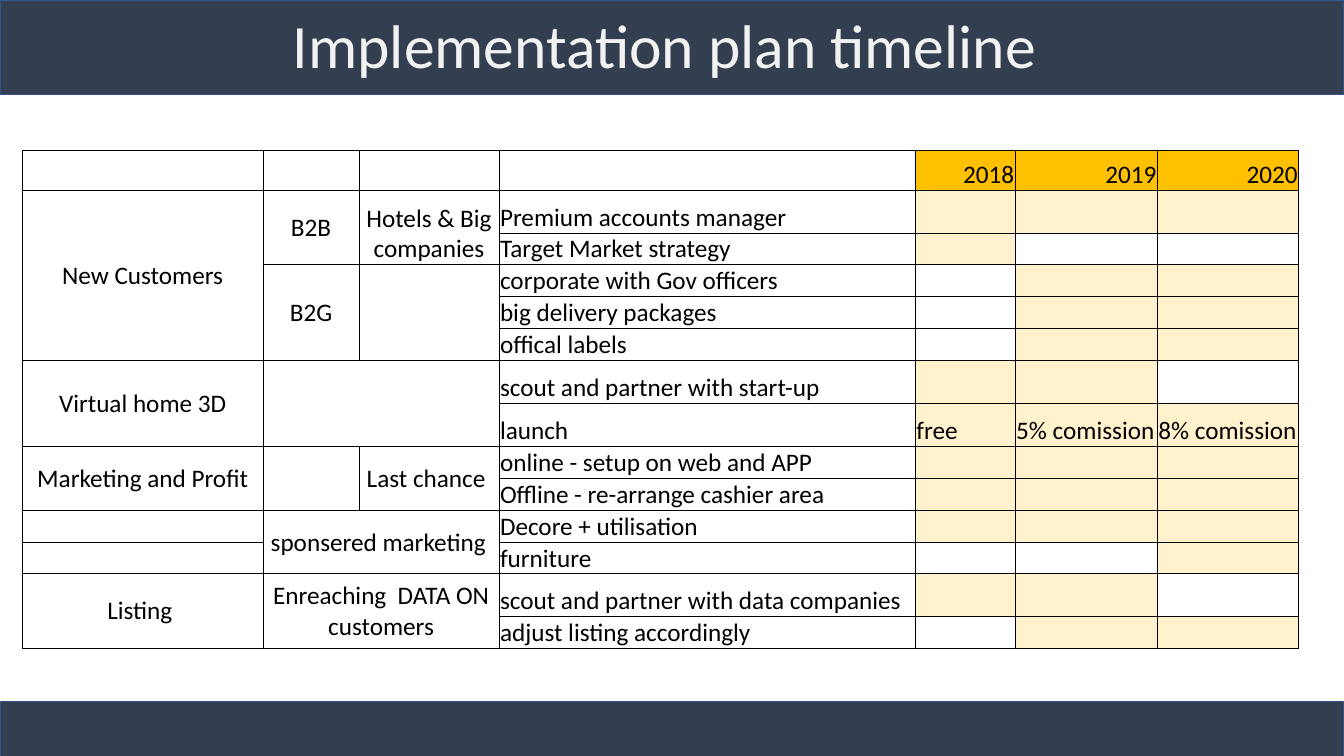
from dataclasses import dataclass

from lxml.etree import SubElement
from pptx import Presentation
from pptx.dml.color import RGBColor
from pptx.enum.shapes import MSO_SHAPE
from pptx.enum.text import MSO_ANCHOR, MSO_AUTO_SIZE, PP_ALIGN
from pptx.oxml.ns import qn
from pptx.util import Inches, Pt

NAVY = RGBColor(0x33, 0x3F, 0x50)
BLUE = RGBColor(0x32, 0x54, 0x91)
PALE_GREY = RGBColor(0xF2, 0xF2, 0xF2)
BLACK = RGBColor(0, 0, 0)
AMBER = RGBColor(0xFF, 0xC0, 0x00)
CREAM = RGBColor(0xFF, 0xF2, 0xCC)
FONT = "Calibri"
SLIDE_WIDTH = 13.33


@dataclass
class Bar:
    top: float
    height: float


@dataclass
class Activity:
    name: str
    years: str  # one mark a year: "x" planned, "-" not planned
    height: float = 0.21
    notes: tuple[str, ...] = ("", "", "")


@dataclass
class Group:
    row: int
    column: int
    rows: int
    columns: int = 1
    text: str = ""
    anchor: MSO_ANCHOR = MSO_ANCHOR.MIDDLE


BARS = [Bar(6.96, 0.63), Bar(0, 0.94)]
YEARS = ["2018", "2019", "2020"]
COLUMN_WIDTHS = [2.39, 0.95, 1.39, 4.13, 0.99, 1.41, 1.4]
HEADER_HEIGHT = 0.4
ACTIVITY_COLUMN = 3
FIRST_YEAR_COLUMN = 4

ACTIVITIES = [
    Activity("Premium accounts manager", "xxx", 0.42),
    Activity("Target Market strategy", "x--"),
    Activity("corporate with Gov officers", "-xx"),
    Activity("big delivery packages", "-xx"),
    Activity("offical labels", "-xx"),
    Activity("scout and partner with start-up", "xx-", 0.43),
    Activity("launch", "xxx", 0.43, ("free", "5% comission", "8% comission")),
    Activity("online - setup on web and APP", "xxx"),
    Activity("Offline - re-arrange cashier area", "xxx"),
    Activity("Decore + utilisation", "xxx"),
    Activity("furniture", "--x"),
    Activity("scout and partner with data companies", "xx-", 0.42),
    Activity("adjust listing accordingly", "-xx"),
]

GROUPS = [
    Group(1, 0, 5, text="New Customers"),
    Group(1, 1, 2, text="B2B"),
    Group(1, 2, 2, text="Hotels & Big companies", anchor=MSO_ANCHOR.BOTTOM),
    Group(3, 1, 3, text="B2G"),
    Group(3, 2, 3),
    Group(6, 0, 2, text="Virtual home 3D"),
    Group(6, 1, 2, 2),
    Group(8, 0, 2, text="Marketing and Profit"),
    Group(8, 1, 2),
    Group(8, 2, 2, text="Last chance "),
    Group(10, 1, 2, 2, "sponsered marketing "),
    Group(12, 0, 2, text="Listing "),
    Group(12, 1, 2, 2, "Enreaching  DATA ON customers"),
]


def add_run(para, text: str, size: float, color: RGBColor) -> None:
    span = para.add_run()
    span.text = text
    span.font.name = FONT
    span.font.size = Pt(size)
    span.font.color.rgb = color


def add_bar(page, bar: Bar) -> None:
    box = page.shapes.add_shape(
        MSO_SHAPE.RECTANGLE, 0, Inches(bar.top), Inches(SLIDE_WIDTH), Inches(bar.height)
    )
    box.shadow.inherit = False
    box.fill.solid()
    box.fill.fore_color.rgb = NAVY
    box.line.color.rgb = BLUE
    box.line.width = Pt(1)


def write_title(page, text: str) -> None:
    title = page.shapes.title
    title.left, title.top = 0, Inches(0.02)
    title.width, title.height = Inches(SLIDE_WIDTH), Inches(0.92)
    frame = title.text_frame
    frame.auto_size = MSO_AUTO_SIZE.NONE
    frame.vertical_anchor = MSO_ANCHOR.MIDDLE
    para = frame.paragraphs[0]
    para.alignment = PP_ALIGN.CENTER
    para.line_spacing = 0.9
    add_run(para, text, 44, PALE_GREY)
    # Bring the title in front of the bars
    title._element.getparent().append(title._element)


def format_cell(cell) -> None:
    cell.margin_left = cell.margin_right = cell.margin_top = Inches(0.01)
    cell.margin_bottom = 0
    properties = cell._tc.get_or_add_tcPr()
    for side in ("lnL", "lnR", "lnT", "lnB"):
        border = SubElement(properties, qn(f"a:{side}"), w=str(Pt(0.5)))
        paint = SubElement(border, qn("a:solidFill"))
        SubElement(paint, qn("a:srgbClr"), val=str(BLACK))
    cell.fill.background()


def shade(cell, color: RGBColor) -> None:
    cell.fill.solid()
    cell.fill.fore_color.rgb = color


def write_cell(cell, text: str, alignment: PP_ALIGN = PP_ALIGN.LEFT,
               anchor: MSO_ANCHOR = MSO_ANCHOR.BOTTOM) -> None:
    if not text:
        return
    cell.vertical_anchor = anchor
    para = cell.text_frame.paragraphs[0]
    para.alignment = alignment
    add_run(para, text, 18, BLACK)


def add_timeline(page) -> None:
    heights = [HEADER_HEIGHT] + [activity.height for activity in ACTIVITIES]
    table = page.shapes.add_table(
        len(heights), len(COLUMN_WIDTHS), Inches(0.22), Inches(1.49),
        Inches(sum(COLUMN_WIDTHS)), Inches(sum(heights)),
    ).table
    table.first_row = table.horz_banding = False
    for column, width in zip(table.columns, COLUMN_WIDTHS):
        column.width = Inches(width)
    for row, height in zip(table.rows, heights):
        row.height = Inches(height)
    for cell in table.iter_cells():
        format_cell(cell)

    # Year headings
    for column, year in enumerate(YEARS, FIRST_YEAR_COLUMN):
        heading = table.cell(0, column)
        shade(heading, AMBER)
        write_cell(heading, year, PP_ALIGN.RIGHT)

    # Activities and their planned years
    for row, activity in enumerate(ACTIVITIES, 1):
        write_cell(table.cell(row, ACTIVITY_COLUMN), activity.name)
        marks = zip(activity.years, activity.notes)
        for column, (mark, note) in enumerate(marks, FIRST_YEAR_COLUMN):
            if mark == "x":
                shade(table.cell(row, column), CREAM)
            write_cell(table.cell(row, column), note)

    # Merged group labels
    for group in GROUPS:
        start = table.cell(group.row, group.column)
        start.merge(table.cell(group.row + group.rows - 1,
                               group.column + group.columns - 1))
        write_cell(start, group.text, PP_ALIGN.CENTER, group.anchor)


def main() -> None:
    deck = Presentation()
    deck.slide_width, deck.slide_height = Inches(SLIDE_WIDTH), Inches(7.5)
    page = deck.slides.add_slide(deck.slide_layouts[5])
    for bar in BARS:
        add_bar(page, bar)
    write_title(page, "Implementation plan timeline ")
    add_timeline(page)
    deck.save("out.pptx")


if __name__ == "__main__":
    main()
